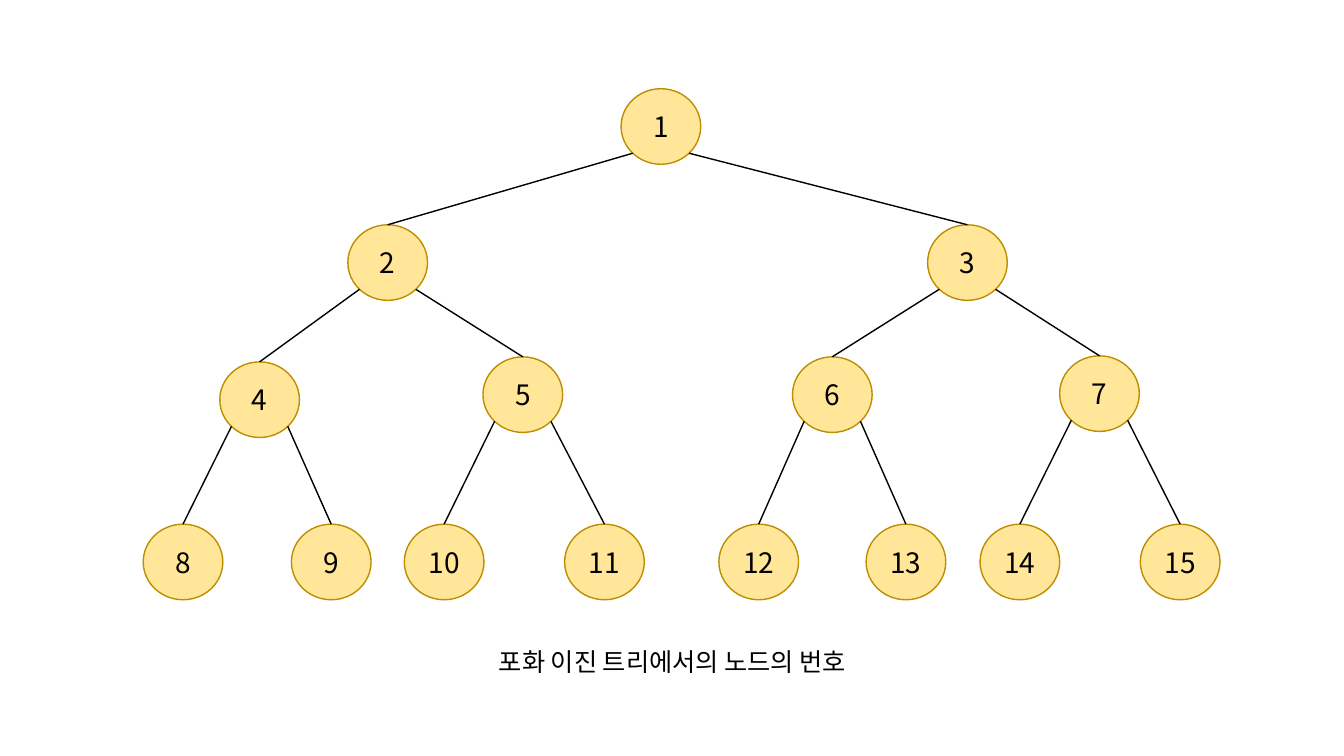
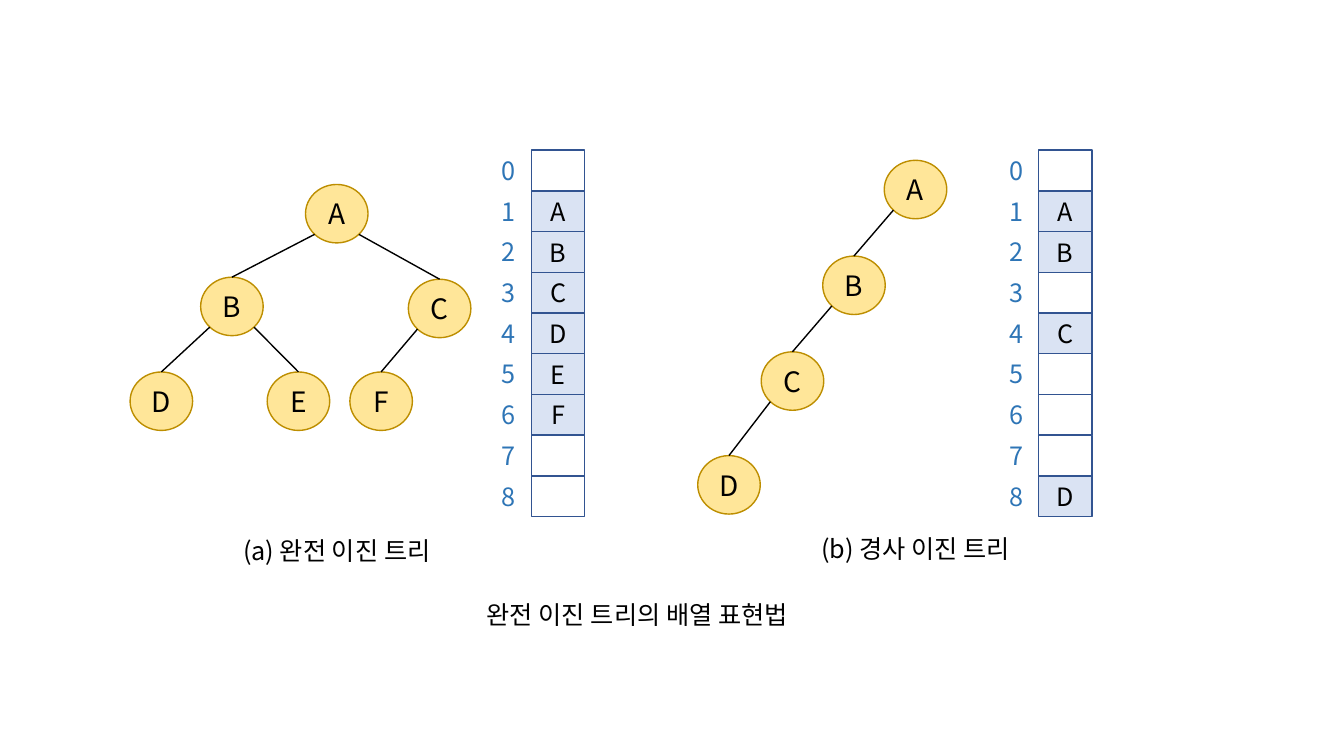
from lxml.etree import SubElement
from pptx import Presentation
from pptx.dml.color import RGBColor
from pptx.enum.shapes import MSO_CONNECTOR as Connector, MSO_SHAPE as Shape
from pptx.enum.text import MSO_ANCHOR as Anchor, MSO_AUTO_SIZE as AutoSize, PP_ALIGN as Align
from pptx.oxml.ns import qn
from pptx.util import Inches, Pt

color = RGBColor.from_string
FONT = "Noto Sans CJK KR"
BLACK, INDEX_BLUE = "000000", "2E75B6"
NODE_FILL, NODE_LINE = "FFE699", "BD8E00"
CELL_FILL, CELL_LINE = "DAE3F3", "325491"
CELL_COUNT, ARRAY_TOP, CELL_WIDTH, CELL_HEIGHT = 9, 1.49, 0.53, 0.404


def write(shape, text, size, text_color=BLACK, align=Align.CENTER):
    paragraph = shape.text_frame.paragraphs[0]
    paragraph.text = text
    paragraph.alignment = align
    paragraph.font.size = Pt(size)
    paragraph.font.name = FONT
    paragraph.font.color.rgb = color(text_color)
    for latin in shape.element.xpath(".//a:latin"):
        SubElement(latin.getparent(), qn("a:ea"), typeface=FONT)


def add_label(slide, text, left, top, width, **style):
    label = slide.shapes.add_textbox(Inches(left), Inches(top), Inches(width), Inches(0.4))
    label.text_frame.word_wrap = True
    label.text_frame.auto_size = AutoSize.SHAPE_TO_FIT_TEXT
    write(label, text, 18, **style)


presentation = Presentation()
presentation.slide_width = Inches(13.33)
presentation.slide_height = Inches(7.5)
blank = presentation.slide_layouts[6]
numbering_slide = presentation.slides.add_slide(blank)
array_slide = presentation.slides.add_slide(blank)

full_places = [
    (6.16, 0.88),
    (3.45, 2.23), (9.2, 2.23),
    (2.18, 3.59), (4.79, 3.54), (7.86, 3.54), (10.51, 3.53),
    (1.42, 5.2), (2.89, 5.2), (4.01, 5.2), (5.6, 5.2),
    (7.13, 5.2), (8.59, 5.2), (9.72, 5.2), (11.31, 5.2),
]
full_tree = {number: (str(number), *place) for number, place in enumerate(full_places, 1)}
complete_tree = {
    1: ("A", 3.03, 1.83),
    2: ("B", 1.99, 2.75),
    3: ("C", 4.05, 2.77),
    4: ("D", 1.29, 3.69),
    5: ("E", 2.65, 3.69),
    6: ("F", 3.47, 3.69),
}
skewed_tree = {
    1: ("A", 8.77, 1.59),
    2: ("B", 8.16, 2.54),
    4: ("C", 7.55, 3.49),
    8: ("D", 6.92, 4.52),
}

for slide, tree, width, height in [
    (numbering_slide, full_tree, 0.79, 0.75),
    (array_slide, complete_tree, 0.62, 0.58),
    (array_slide, skewed_tree, 0.62, 0.58),
]:
    nodes = {}
    for number, (name, left, top) in tree.items():
        node = slide.shapes.add_shape(
            Shape.FLOWCHART_CONNECTOR, Inches(left), Inches(top), Inches(width), Inches(height))
        node.shadow.inherit = False
        node.fill.solid()
        node.fill.fore_color.rgb = color(NODE_FILL)
        node.line.color.rgb = color(NODE_LINE)
        node.line.width = Pt(1)
        node.text_frame.vertical_anchor = Anchor.MIDDLE
        write(node, name, 20)
        nodes[number] = node
        if number == 1:
            continue
        parent_name, parent_left, parent_top = tree[number // 2]
        side = 1 if number % 2 else -1
        diagonal = 0.5 ** 0.5
        branch = slide.shapes.add_connector(
            Connector.STRAIGHT,
            Inches(parent_left + width / 2 * (1 + side * diagonal)),
            Inches(parent_top + height / 2 * (1 + diagonal)),
            Inches(left + width / 2), Inches(top))
        branch.end_connect(node, 0)
        branch.line.color.rgb = color(BLACK)
        branch.line.width = Pt(1)
        SubElement(branch.element.spPr, qn("a:effectLst"))

for tree, array_left in [(complete_tree, 5.27), (skewed_tree, 10.3)]:
    for index in range(CELL_COUNT):
        top = ARRAY_TOP + index * CELL_HEIGHT
        cell = array_slide.shapes.add_shape(
            Shape.RECTANGLE, Inches(array_left), Inches(top), Inches(CELL_WIDTH), Inches(CELL_HEIGHT))
        cell.shadow.inherit = False
        cell.line.color.rgb = color(CELL_LINE)
        cell.line.width = Pt(1)
        if index in tree:
            cell.fill.solid()
            cell.fill.fore_color.rgb = color(CELL_FILL)
            cell.text_frame.vertical_anchor = Anchor.MIDDLE
            write(cell, tree[index][0], 18)
        else:
            cell.fill.background()
        add_label(array_slide, str(index), array_left - 0.39, top, 0.39,
                  text_color=INDEX_BLUE, align=Align.LEFT)

for slide, caption, left, top, width in [
    (numbering_slide, "포화 이진 트리에서의 노드의 번호", 3.7, 6.36, 5.94),
    (array_slide, "(a) 완전 이진 트리", 2.1, 5.26, 2.48),
    (array_slide, "(b) 경사 이진 트리", 7.59, 5.24, 2.98),
    (array_slide, "완전 이진 트리의 배열 표현법", 3.95, 5.9, 4.74),
]:
    add_label(slide, caption, left, top, width)

presentation.save("out.pptx")
